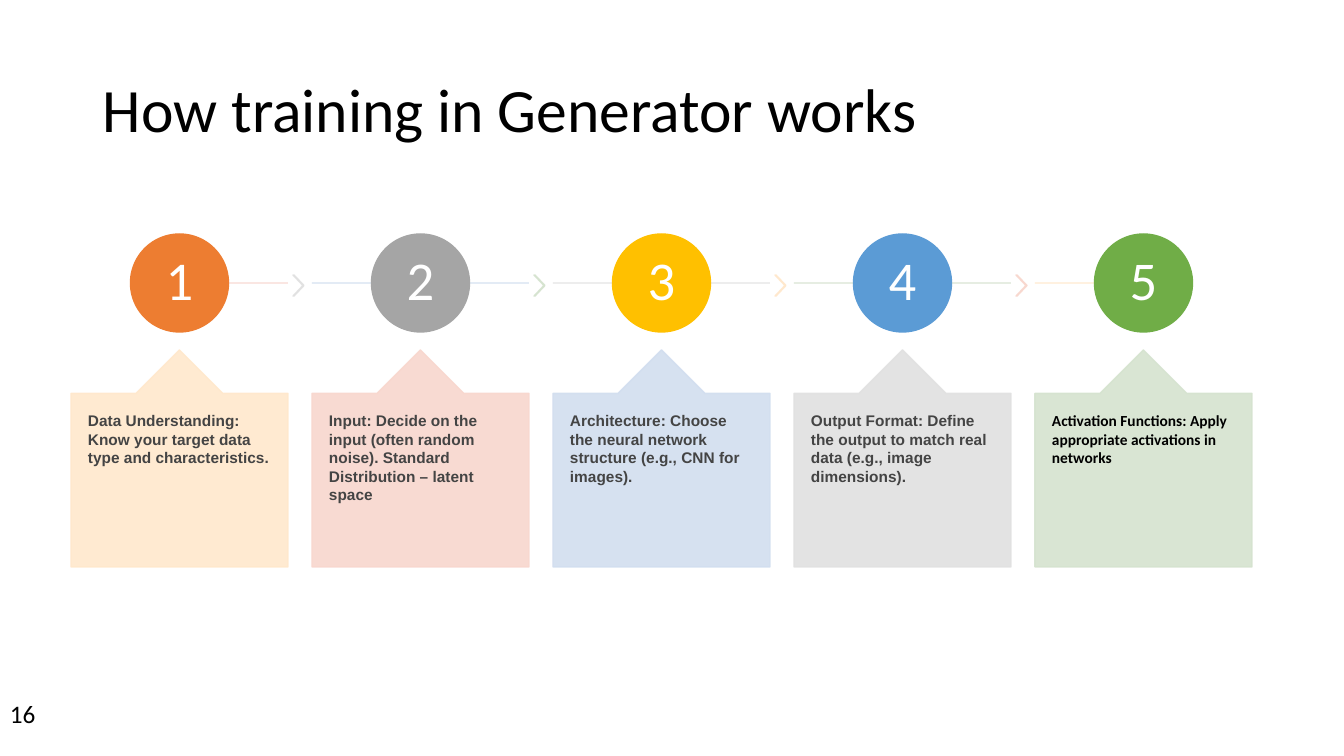
from lxml.etree import SubElement
from pptx import Presentation
from pptx.dml.color import RGBColor
from pptx.enum.shapes import MSO_CONNECTOR, MSO_SHAPE
from pptx.enum.text import MSO_ANCHOR, MSO_AUTO_SIZE, PP_ALIGN
from pptx.oxml.ns import qn
from pptx.util import Pt

TITLE = "How training in Generator works"
SLIDE_NUMBER = "16"
COLORS = {
    "black": "000000", "white": "FFFFFF", "text": "444444",
    "orange": "ED7D31", "gray": "A5A5A5", "yellow": "FFC000",
    "blue": "5B9BD5", "green": "70AD47",
    "pale_orange": "FFE8CC", "pale_red": "F8D7CE", "pale_blue": "D2DEEF",
    "pale_gray": "E1E1E1", "pale_green": "D5E3CF",
}
STEPS = [
    ("Data Understanding: Know your target data type and characteristics.", "orange", "Arial", "text"),
    ("Input: Decide on the input (often random noise). Standard Distribution – latent space", "gray", "Arial", "text"),
    ("Architecture: Choose the neural network structure (e.g., CNN for images).", "yellow", "Arial", "text"),
    ("Output Format: Define the output to match real data (e.g., image dimensions).", "blue", "Arial", "text"),
    ("Activation Functions: Apply appropriate activations in networks", "green", "Calibri", "black"),
]
PALE_CYCLE = ["pale_orange", "pale_red", "pale_blue", "pale_gray", "pale_green"]

FIRST_LEFT, PITCH = 71, 241
CARD_TOP, CARD_SIZE = 350, 217
CIRCLE_TOP, CIRCLE_SIZE = 234, 98
LINE_Y = CIRCLE_TOP + CIRCLE_SIZE // 2
CHEVRON_OFFSET, CHEVRON_TOP, CHEVRON_WIDTH, CHEVRON_HEIGHT = 222, 275, 11, 21


def px(value):
    return round(value * 914400 / 100.8)


def color(name):
    return RGBColor.from_string(COLORS[name])


def pale(index):
    return PALE_CYCLE[index % len(PALE_CYCLE)]


def write(shape, text, *, size, font="Calibri", ink="black", bold=False, align=PP_ALIGN.LEFT,
          anchor=MSO_ANCHOR.TOP, margins=(10, 5), spacing=1.0):
    frame = shape.text_frame
    frame.word_wrap = True
    frame.auto_size = MSO_AUTO_SIZE.NONE
    frame.vertical_anchor = anchor
    frame.margin_left = frame.margin_right = px(margins[0])
    frame.margin_top = frame.margin_bottom = px(margins[1])
    paragraph = frame.paragraphs[0]
    paragraph.alignment = align
    paragraph.line_spacing = spacing
    run = paragraph.add_run()
    run.text = text
    run.font.size = Pt(size)
    run.font.name = font
    run.font.bold = bold
    run.font.color.rgb = color(ink)


def set_opacity(shape, percent):
    for element in shape._element.spPr.iter(qn("a:srgbClr")):
        SubElement(element, qn("a:alpha")).set("val", str(percent * 1000))


def add_filled(slide, kind, box, fill, opacity=100, adjustments=()):
    shape = slide.shapes.add_shape(kind, *map(px, box))
    shape.shadow.inherit = False
    for index, value in enumerate(adjustments):
        shape.adjustments[index] = value
    shape.fill.solid()
    shape.fill.fore_color.rgb = color(fill)
    shape.line.color.rgb = color(fill)
    shape.line.width = Pt(1)
    if opacity < 100:
        set_opacity(shape, opacity)
    return shape


def add_line(slide, start, end, ink):
    line = slide.shapes.add_connector(MSO_CONNECTOR.STRAIGHT, px(start), px(LINE_Y), px(end), px(LINE_Y))
    line.line.color.rgb = color(ink)
    line.line.width = Pt(1)
    set_opacity(line, 90)
    SubElement(line._element.spPr, qn("a:effectLst"))


def add_step(slide, index, text, circle_color, font, ink):
    left = FIRST_LEFT + index * PITCH
    center = left + CARD_SIZE / 2
    is_first, is_last = index == 0, index == len(STEPS) - 1
    add_line(slide, center if is_first else left, center if is_last else left + CARD_SIZE,
             pale(3 * index + 1 - index * 2))
    if not is_last:
        add_filled(slide, MSO_SHAPE.CHEVRON,
                   (left + CHEVRON_OFFSET, CHEVRON_TOP, CHEVRON_WIDTH, CHEVRON_HEIGHT),
                   pale(index + 3), 90, [0.9])
    circle = add_filled(slide, MSO_SHAPE.OVAL,
                        (center - CIRCLE_SIZE / 2, CIRCLE_TOP, CIRCLE_SIZE, CIRCLE_SIZE), circle_color)
    write(circle, str(index + 1), size=39, ink="white", align=PP_ALIGN.CENTER,
          anchor=MSO_ANCHOR.MIDDLE, margins=(4, 4), spacing=0.9)
    card = add_filled(slide, MSO_SHAPE.UP_ARROW_CALLOUT, (left, CARD_TOP, CARD_SIZE, CARD_SIZE),
                      pale(index), 90, [0.5, 0.2, 0.2, 0.8])
    write(card, text, size=11, font=font, ink=ink, bold=True, margins=(17, 18))


def main():
    presentation = Presentation()
    presentation.slide_width, presentation.slide_height = px(1344), px(756)
    slide = presentation.slides.add_slide(presentation.slide_layouts[5])
    title = slide.shapes.title
    title.left, title.top, title.width, title.height = map(px, (93, 40, 1159, 146))
    write(title, TITLE, size=44, anchor=MSO_ANCHOR.MIDDLE, spacing=0.9)
    number = slide.shapes.add_textbox(*map(px, (0, 693, 302, 40)))
    write(number, SLIDE_NUMBER, size=18)
    for index, step in enumerate(STEPS):
        add_step(slide, index, *step)
    presentation.save("out.pptx")


if __name__ == "__main__":
    main()
